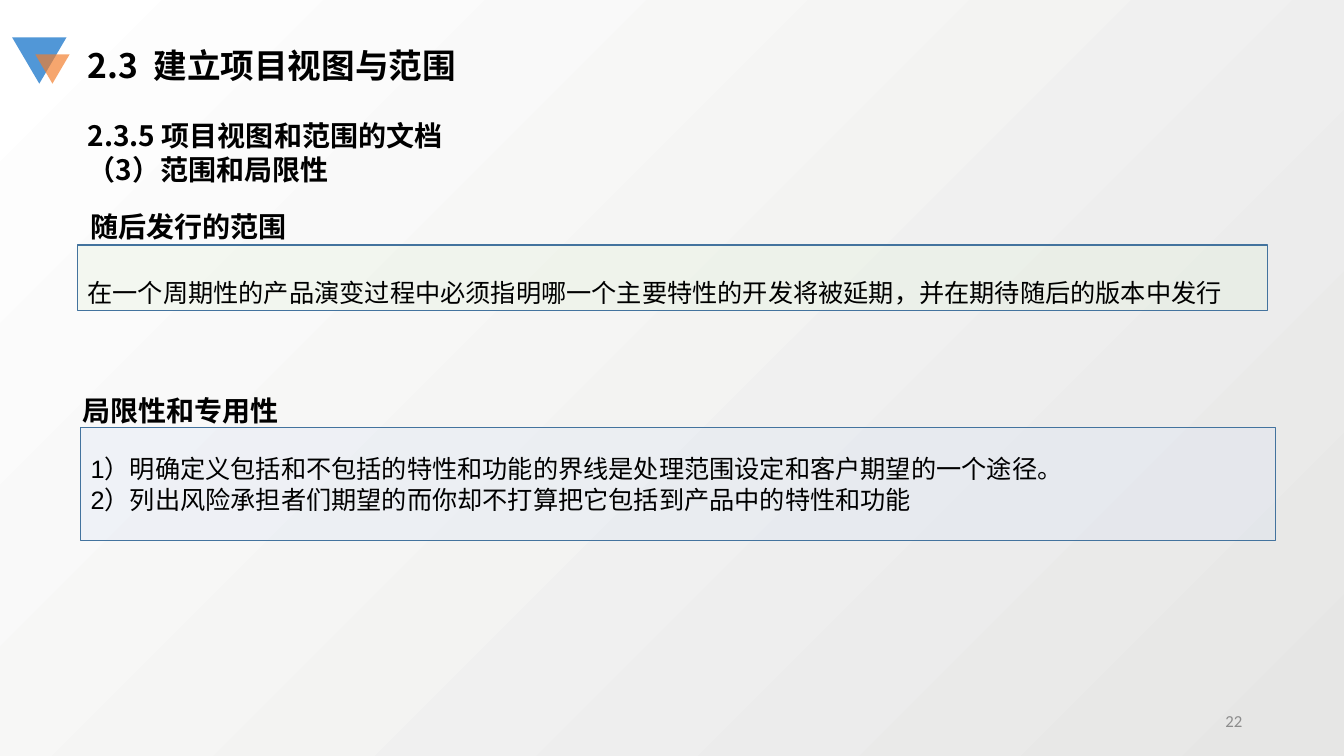
"""Build the slide on the scope and limits of a project vision document."""
from dataclasses import dataclass
from typing import Optional

from lxml import etree
from pptx import Presentation
from pptx.dml.color import RGBColor
from pptx.enum.shapes import MSO_SHAPE
from pptx.enum.text import MSO_ANCHOR, MSO_AUTO_SIZE, PP_ALIGN
from pptx.oxml.ns import qn
from pptx.util import Inches, Pt

TRIANGLE, RECTANGLE = MSO_SHAPE.ISOSCELES_TRIANGLE, MSO_SHAPE.RECTANGLE
TOP, MIDDLE = MSO_ANCHOR.TOP, MSO_ANCHOR.MIDDLE
LEFT, RIGHT = PP_ALIGN.LEFT, PP_ALIGN.RIGHT
GROW = MSO_AUTO_SIZE.SHAPE_TO_FIT_TEXT
CJK_FONT = "Noto Sans CJK SC"
COLORS = {
    "shade": "E6E6E5",
    "white": "FFFFFF",
    "blue": "5197D7",
    "orange": "F37D2A",
    "black": "000000",
    "gray": "8C8C8C",
    "border": "43739E",
    "pale green": "E2F0D9",
    "pale blue": "DAE3F3",
}


@dataclass(frozen=True)
class Box:
    left: float
    top: float
    width: float
    height: float

    def lengths(self):
        return [Inches(value) for value in (self.left, self.top, self.width, self.height)]


@dataclass(frozen=True)
class TextStyle:
    size: float
    font: str = "Arial"
    color: str = "black"
    bold: bool = False
    spacing: Optional[float] = None
    align: PP_ALIGN = LEFT
    anchor: MSO_ANCHOR = TOP


@dataclass(frozen=True)
class Triangle:
    box: Box
    fill: str
    opacity: int


@dataclass(frozen=True)
class Label:
    box: Box
    lines: tuple
    style: TextStyle
    grows: bool = True


@dataclass(frozen=True)
class Panel:
    box: Box
    fill: str
    lines: tuple
    style: TextStyle


HEADING = TextStyle(20, bold=True, spacing=2)
TRIANGLES = (
    Triangle(Box(0.12, 0.37, 0.54, 0.46), "blue", 100),
    Triangle(Box(0.35, 0.54, 0.34, 0.29), "orange", 68),
)
LABELS = (
    Label(Box(9.42, 6.95, 3, 0.4), ("22",),
          TextStyle(12, "Calibri", "gray", align=RIGHT, anchor=MIDDLE), grows=False),
    Label(Box(0.77, 0.4, 8.49, 0.5), ("2.3  建立项目视图与范围",),
          TextStyle(24, CJK_FONT, bold=True)),
    Label(Box(0.8, 1.7, 10.98, 0.65), ("随后发行的范围",), HEADING),
    Label(Box(0.72, 3.52, 11.85, 0.65), ("局限性和专用性",), HEADING),
    Label(Box(0.77, 1.13, 8.49, 0.77),
          ("2.3.5 项目视图和范围的文档", "（3）范围和局限性"),
          TextStyle(20, CJK_FONT, bold=True)),
)
PANELS = (
    Panel(Box(0.77, 2.43, 11.8, 0.65), "pale green",
          ("在一个周期性的产品演变过程中必须指明哪一个主要特性的开发将被延期，并在期待随后的版本中发行",),
          TextStyle(18, spacing=2, anchor=MIDDLE)),
    Panel(Box(0.8, 4.24, 11.85, 1.12), "pale blue",
          ("1）明确定义包括和不包括的特性和功能的界线是处理范围设定和客户期望的一个途径。",
           "2）列出风险承担者们期望的而你却不打算把它包括到产品中的特性和功能"),
          TextStyle(18, anchor=MIDDLE)),
)


def rgb(name: str) -> RGBColor:
    return RGBColor.from_string(COLORS[name])


def paint_background(slide) -> None:
    fill = slide.background.fill
    fill.gradient()
    fill.gradient_angle = 135
    for stop, position, color in zip(fill.gradient_stops, (0, 1), ("shade", "white")):
        stop.position = position
        stop.color.rgb = rgb(color)


def add_filled_shape(slide, kind: MSO_SHAPE, box: Box, color: str, opacity: int):
    shape = slide.shapes.add_shape(kind, *box.lengths())
    shape.shadow.inherit = False
    shape.fill.solid()
    shape.fill.fore_color.rgb = rgb(color)
    if opacity < 100:
        color_element = shape.fill._xPr.find(qn("a:solidFill"))[0]
        etree.SubElement(color_element, qn("a:alpha"), val=str(opacity * 1000))
    return shape


def write_text(shape, lines: tuple, style: TextStyle) -> None:
    frame = shape.text_frame
    frame.word_wrap = True
    frame.vertical_anchor = style.anchor
    for index, line in enumerate(lines):
        paragraph = frame.add_paragraph() if index else frame.paragraphs[0]
        paragraph.alignment = style.align
        if style.spacing:
            paragraph.line_spacing = style.spacing
        run = paragraph.add_run()
        run.text = line
        run.font.size = Pt(style.size)
        run.font.bold = style.bold
        run.font.color.rgb = rgb(style.color)
        run.font.name = style.font
        etree.SubElement(run.font._element, qn("a:ea"), typeface=CJK_FONT)


def add_triangle(slide, triangle: Triangle) -> None:
    shape = add_filled_shape(slide, TRIANGLE, triangle.box, triangle.fill, triangle.opacity)
    shape.rotation = 180
    shape.line.fill.background()


def add_label(slide, label: Label) -> None:
    shape = slide.shapes.add_textbox(*label.box.lengths())
    write_text(shape, label.lines, label.style)
    if label.grows:
        shape.text_frame.auto_size = GROW


def add_panel(slide, panel: Panel) -> None:
    shape = add_filled_shape(slide, RECTANGLE, panel.box, panel.fill, 30)
    shape.line.color.rgb = rgb("border")
    shape.line.width = Pt(1)
    write_text(shape, panel.lines, panel.style)


def main() -> None:
    presentation = Presentation()
    presentation.slide_width = Inches(13.33)
    presentation.slide_height = Inches(7.5)
    slide = presentation.slides.add_slide(presentation.slide_layouts[6])
    paint_background(slide)
    for triangle in TRIANGLES:
        add_triangle(slide, triangle)
    for label in LABELS:
        add_label(slide, label)
    for panel in PANELS:
        add_panel(slide, panel)
    presentation.save("out.pptx")


if __name__ == "__main__":
    main()
